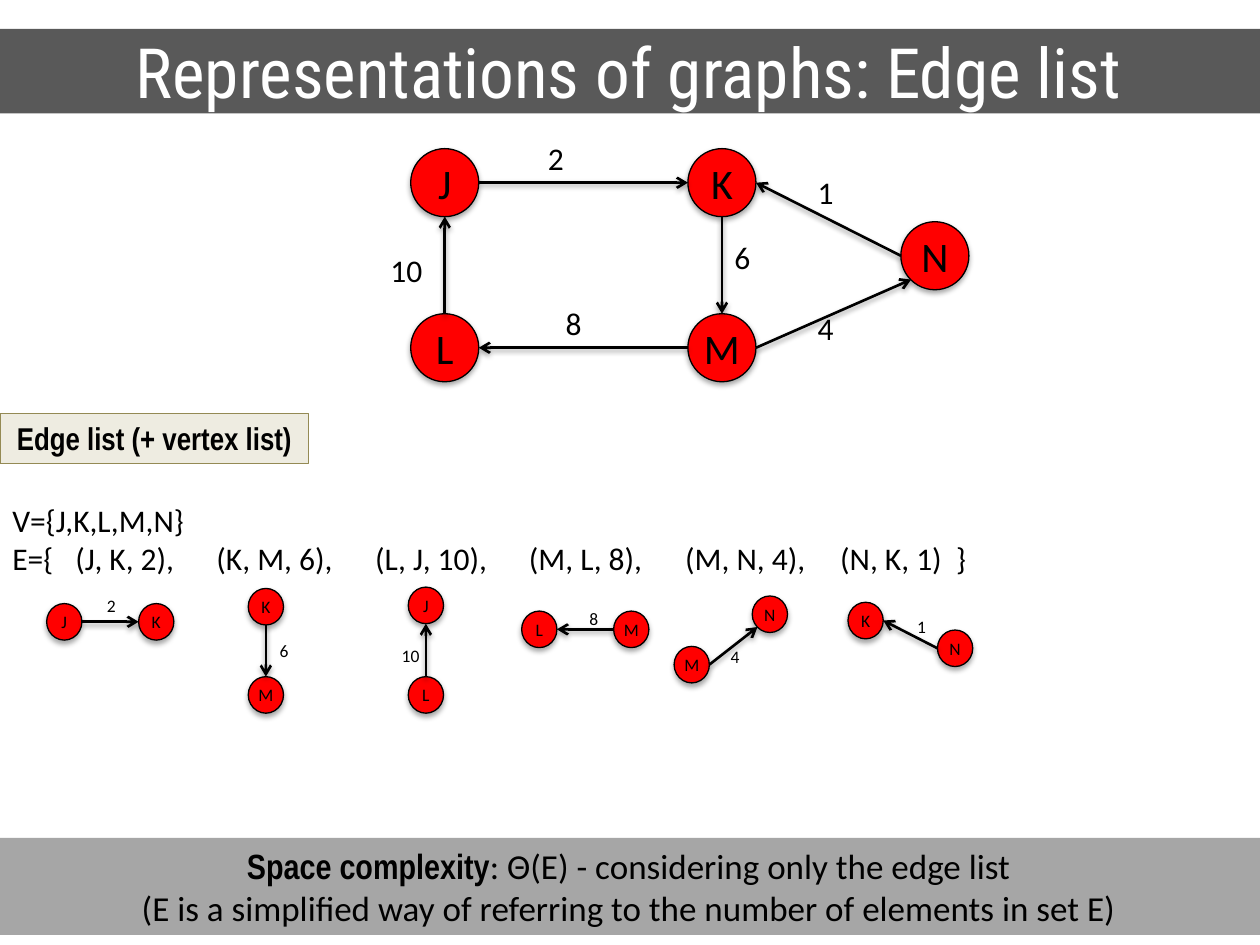
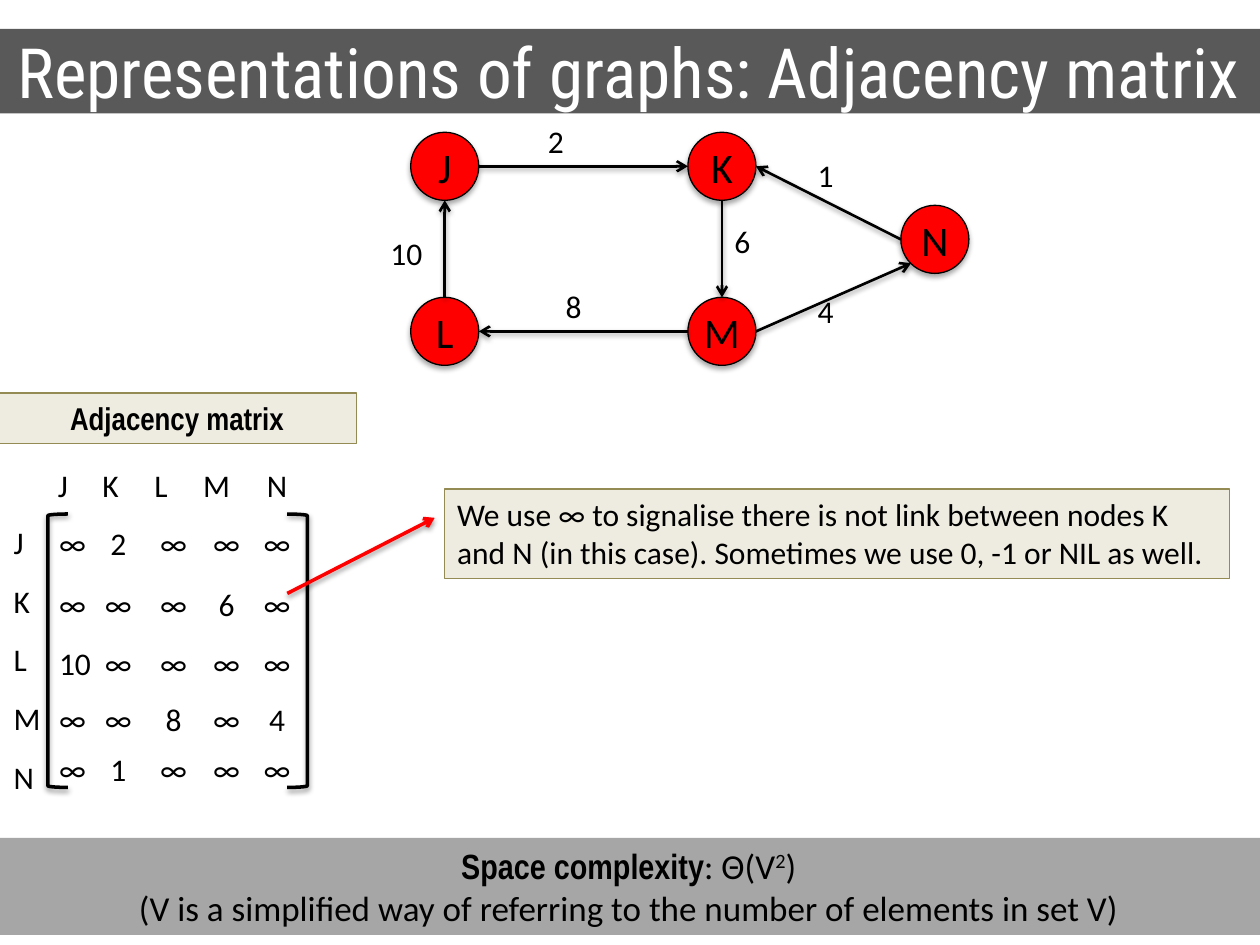
from dataclasses import dataclass

from lxml import etree
from pptx import Presentation
from pptx.dml.color import RGBColor
from pptx.enum.shapes import MSO_CONNECTOR, MSO_SHAPE
from pptx.enum.text import MSO_ANCHOR, MSO_AUTO_SIZE, PP_ALIGN
from pptx.oxml.ns import qn
from pptx.util import Inches, Pt

STRAIGHT = MSO_CONNECTOR.STRAIGHT
ELLIPSE, RECTANGLE = MSO_SHAPE.OVAL, MSO_SHAPE.RECTANGLE
LEFT_BRACKET, RIGHT_BRACKET = MSO_SHAPE.LEFT_BRACKET, MSO_SHAPE.RIGHT_BRACKET
MIDDLE, TOP_ANCHOR = MSO_ANCHOR.MIDDLE, MSO_ANCHOR.TOP
GROW, FIXED = MSO_AUTO_SIZE.SHAPE_TO_FIT_TEXT, MSO_AUTO_SIZE.NONE
CENTER, ALIGN_LEFT = PP_ALIGN.CENTER, PP_ALIGN.LEFT


@dataclass(frozen=True)
class Theme:
    title_band: str = "595959"
    footer_band: str = "A6A6A6"
    note_fill: str = "EEECE1"
    note_line: str = "948A54"
    red: str = "FF0000"
    black: str = "000000"
    white: str = "FFFFFF"
    title_font: str = "Roboto Condensed"
    strong_font: str = "Arial Narrow"
    body_font: str = "Calibri"
    title_size: float = 39.6
    node_size: float = 24
    footer_size: float = 20
    body_size: float = 18
    small_size: float = 10


THEME = Theme()
TITLE = {"name": THEME.title_font, "size": Pt(THEME.title_size), "bold": False}
BODY = {"name": THEME.body_font, "size": Pt(THEME.body_size), "bold": False}
STRONG = {"name": THEME.strong_font, "size": Pt(THEME.body_size), "bold": True}
FOOTER = {**BODY, "size": Pt(THEME.footer_size)}
FOOTER_STRONG = {**STRONG, "size": Pt(THEME.footer_size)}

# Points on a node's outline, as fractions of its width and height
TOP, BOTTOM, LEFT, RIGHT = (0.5, 0), (0.5, 1), (0, 0.5), (1, 0.5)
BOTTOM_LEFT = (0.15, 0.85)


@dataclass(frozen=True)
class Edge:
    source: str
    leaves: tuple
    target: str
    enters: tuple
    weight: int


EDGES = [
    Edge("J", RIGHT, "K", LEFT, 2),
    Edge("K", BOTTOM, "M", TOP, 6),
    Edge("L", TOP, "J", BOTTOM, 10),
    Edge("M", LEFT, "L", RIGHT, 8),
    Edge("M", RIGHT, "N", BOTTOM_LEFT, 4),
    Edge("N", LEFT, "K", RIGHT, 1),
]
VERTICES = "JKLMN"
INFINITY = "∞"

# Places relative to the graph's own corner
NODE_PLACES = {"J": (0.26, 0.13), "K": (2.46, 0.13), "L": (0.26, 1.44),
               "M": (2.46, 1.44), "N": (4.15, 0.71)}
WEIGHT_PLACES = [(1.25, 0), (2.73, 0.79), (0, 0.89),
                 (1.39, 1.31), (3.39, 1.35), (3.39, 0.27)]
# Source, target and weight of each single edge, relative to their row
SINGLE_EDGE_PLACES = [
    ((0.37, 0.13), (1.1, 0.13), (0.75, 0.01)),
    ((1.97, 0.01), (1.97, 0.71), (2.12, 0.37)),
    ((3.24, 0.71), (3.24, 0), (3.09, 0.41)),
    ((4.87, 0.19), (4.14, 0.19), (4.58, 0.12)),
    ((5.35, 0.47), (5.97, 0.07), (5.7, 0.42)),
    ((7.44, 0.34), (6.73, 0.12), (7.18, 0.18)),
]


def rgb(value):
    return RGBColor.from_string(value)


def inches(box):
    return [Inches(length) for length in box]


def shifted(origin, place):
    return origin[0] + place[0], origin[1] + place[1]


def set_format(target, values):
    for name, value in values.items():
        setattr(target, name, value)


def set_tabs(paragraph, stops, alignment):
    tabs = etree.SubElement(paragraph._p.get_or_add_pPr(), qn("a:tabLst"))
    for stop in stops:
        etree.SubElement(tabs, qn("a:tab"), pos=str(Inches(stop)), algn=alignment)


def add_run(paragraph, text, style, color=THEME.black):
    run = paragraph.add_run()
    run.text = text
    set_format(run.font, style)
    run.font.color.rgb = rgb(color)
    return run


def write(frame, lines, align=ALIGN_LEFT, color=THEME.black):
    """Fill a frame with lines, each a list of (text, style) runs."""
    for number, runs in enumerate(lines):
        paragraph = frame.add_paragraph() if number else frame.paragraphs[0]
        paragraph.alignment = align
        for text, style in runs:
            add_run(paragraph, text, style, color)


def cast_shadow(shape, distance, opacity):
    effects = etree.SubElement(shape.element.spPr, qn("a:effectLst"))
    shadow = etree.SubElement(effects, qn("a:outerShdw"), blurRad=str(Pt(3.1)),
                              dist=str(Pt(distance)), dir="5400000", rotWithShape="0")
    color = etree.SubElement(shadow, qn("a:srgbClr"), val=THEME.black)
    etree.SubElement(color, qn("a:alpha"), val=str(opacity * 1000))


def add_text(slide, box, lines, wrap=False):
    text_box = slide.shapes.add_textbox(*inches(box))
    frame = text_box.text_frame
    set_format(frame, {"word_wrap": wrap, "auto_size": GROW})
    write(frame, lines)
    return frame


def add_panel(slide, box, lines, fill, line=None, align=CENTER):
    panel = slide.shapes.add_shape(RECTANGLE, *inches(box))
    panel.shadow.inherit = False
    panel.fill.solid()
    panel.fill.fore_color.rgb = rgb(fill)
    if line:
        panel.line.color.rgb = rgb(line)
        panel.line.width = Pt(0.75)
    else:
        panel.line.fill.background()
    frame = panel.text_frame
    set_format(frame, {"word_wrap": True, "auto_size": GROW,
                       "vertical_anchor": TOP_ANCHOR})
    write(frame, lines, align)


def add_note(slide, box, text, style, align=CENTER):
    add_panel(slide, box, [[(text, style)]], THEME.note_fill, THEME.note_line, align)


def add_arrow(slide, start, end, color=THEME.black, width=1.5):
    arrow = slide.shapes.add_connector(STRAIGHT, *inches(start + end))
    arrow.line.color.rgb = rgb(color)
    arrow.line.width = Pt(width)
    etree.SubElement(arrow.line._get_or_add_ln(), qn("a:tailEnd"), type="arrow")
    cast_shadow(arrow, 1.6, 38)


def add_node(slide, place, size, name, points):
    node = slide.shapes.add_shape(ELLIPSE, *inches(place + size))
    node.fill.solid()
    node.fill.fore_color.rgb = rgb(THEME.red)
    node.line.color.rgb = rgb(THEME.black)
    node.line.width = Pt(0.75)
    cast_shadow(node, 1.8, 35)
    frame = node.text_frame
    set_format(frame, {"margin_left": Inches(0.04), "margin_right": Inches(0.04),
                       "word_wrap": False, "vertical_anchor": MIDDLE})
    write(frame, [[(name, {**BODY, "size": Pt(points)})]], CENTER)


def add_edge(slide, edge, source, target, size):
    def on_outline(place, point):
        return place[0] + point[0] * size[0], place[1] + point[1] * size[1]

    add_arrow(slide, on_outline(source, edge.leaves), on_outline(target, edge.enters))


def add_weight(slide, place, weight, points):
    text = str(weight)
    box = place + (0.2 + 0.0072 * points * len(text), 0.1 + 0.017 * points)
    add_text(slide, box, [[(text, {**BODY, "size": Pt(points)})]])


def add_graph(slide, origin):
    size = (0.54, 0.54)
    nodes = {name: shifted(origin, place) for name, place in NODE_PLACES.items()}
    for name, place in nodes.items():
        add_node(slide, place, size, name, THEME.node_size)
    for edge, place in zip(EDGES, WEIGHT_PLACES):
        add_edge(slide, edge, nodes[edge.source], nodes[edge.target], size)
        add_weight(slide, shifted(origin, place), edge.weight, THEME.body_size)


def add_single_edges(slide, origin):
    size, points = (0.28, 0.29), THEME.small_size
    for edge, places in zip(EDGES, SINGLE_EDGE_PLACES):
        source, target, weight = (shifted(origin, place) for place in places)
        add_node(slide, source, size, edge.source, points)
        add_node(slide, target, size, edge.target, points)
        add_edge(slide, edge, source, target, size)
        add_weight(slide, weight, edge.weight, points)


def add_vertex_and_edge_sets(slide, box):
    triples = [f"({edge.source}, {edge.target}, {edge.weight})" for edge in EDGES]
    edge_set = "E={\t" + ",\t".join(triples) + "\t}"
    vertex_set = "V={" + ",".join(VERTICES) + "}"
    frame = add_text(slide, box, [[(vertex_set, BODY)], [(edge_set, BODY)]], wrap=True)
    set_tabs(frame.paragraphs[1], [0.5, 1.62, 2.88, 4.1, 5.34, 6.57, 7.49], "l")


def add_matrix(slide, origin):
    """Draw the bracketed weights with vertex names above and to the left."""
    def add_row(place, cells, stops):
        text = "".join(f"\t{cell}" for cell in cells)
        frame = add_text(slide, shifted(origin, place) + (2.12, 0.4),
                         [[(text, BODY)]], wrap=True)
        set_tabs(frame.paragraphs[0], stops, "ctr")

    for shape_kind, x in ((LEFT_BRACKET, 0.37), (RIGHT_BRACKET, 2.27)):
        bracket = slide.shapes.add_shape(
            shape_kind, *inches(shifted(origin, (x, 0.43)) + (0.16, 2.17)))
        bracket.fill.background()
        bracket.line.color.rgb = rgb(THEME.black)
        bracket.line.width = Pt(2)
        cast_shadow(bracket, 1.6, 38)

    names = add_text(slide, shifted(origin, (0, 0.45)) + (0.42, 2.29),
                     [[(name, BODY)] for name in VERTICES])
    for paragraph in names.paragraphs[1:]:
        paragraph.space_before = Pt(12)

    add_row((0.35, 0), VERTICES, [0.04, 0.42, 0.82, 1.26, 1.74])
    weights = {(edge.source, edge.target): edge.weight for edge in EDGES}
    row_tops = [0.46, 0.94, 1.41, 1.86, 2.25]
    for source, top in zip(VERTICES, row_tops):
        cells = [weights.get((source, target), INFINITY) for target in VERTICES]
        add_row((0.36, top), cells, [0.1, 0.47, 0.91, 1.33, 1.73])


def add_representation_slide(deck, title_text, graph_origin, complexity, explanation):
    """Add a slide with title band, graph and complexity footer."""
    slide = deck.slides.add_slide(deck.slide_layouts[5])
    title = slide.shapes.title
    left, top, width, height = inches((-0.02, 0.23, 10.02, 0.67))
    set_format(title, {"left": left, "top": top, "width": width, "height": height})
    title.fill.solid()
    title.fill.fore_color.rgb = rgb(THEME.title_band)
    set_format(title.text_frame, {"word_wrap": True, "auto_size": FIXED,
                                  "vertical_anchor": MIDDLE})
    write(title.text_frame, [[(title_text, TITLE)]], CENTER, THEME.white)
    add_graph(slide, graph_origin)
    first_line = [("Space complexity", FOOTER_STRONG)] + complexity
    add_panel(slide, (-0.02, 6.65, 10.02, 0.77),
              [first_line, [(explanation, FOOTER)]], THEME.footer_band)
    return slide


def add_edge_list_slide(deck):
    slide = add_representation_slide(
        deck, "Representations of graphs: Edge list", (3, 1.05),
        [(": Θ(E) - considering only the edge list", FOOTER)],
        "(E is a simplified way of referring to the number of elements in set E)")
    add_note(slide, (0, 3.28, 2.45, 0.4), "Edge list (+ vertex list)", STRONG)
    add_vertex_and_edge_sets(slide, (0, 3.93, 7.9, 0.71))
    add_single_edges(slide, (0, 4.66))


def add_adjacency_matrix_slide(deck):
    slide = add_representation_slide(
        deck, "Representations of graphs: Adjacency matrix", (3, 0.92),
        [(": Θ(V", FOOTER), ("2", FOOTER), (")", FOOTER)],
        "(V is a simplified way of referring to the number of elements in set V)")
    exponent = slide.shapes[-1].text_frame.paragraphs[0].runs[2]
    exponent._r.get_or_add_rPr().set("baseline", "30000")
    add_note(slide, (-0.02, 3.12, 2.85, 0.4), "Adjacency matrix", STRONG)
    add_matrix(slide, (0.01, 3.65))
    add_arrow(slide, (2.28, 4.71), (3.45, 4.11), THEME.red, 2)
    add_note(slide, (3.53, 3.88, 6.23, 0.71),
             "We use ∞ to signalise there is not link between nodes K and N "
             "(in this case). Sometimes we use 0, -1 or NIL as well.", BODY, ALIGN_LEFT)


def main():
    deck = Presentation()
    deck.slide_width, deck.slide_height = Inches(10), Inches(7.5)
    add_edge_list_slide(deck)
    add_adjacency_matrix_slide(deck)
    deck.save("out.pptx")


if __name__ == "__main__":
    main()
